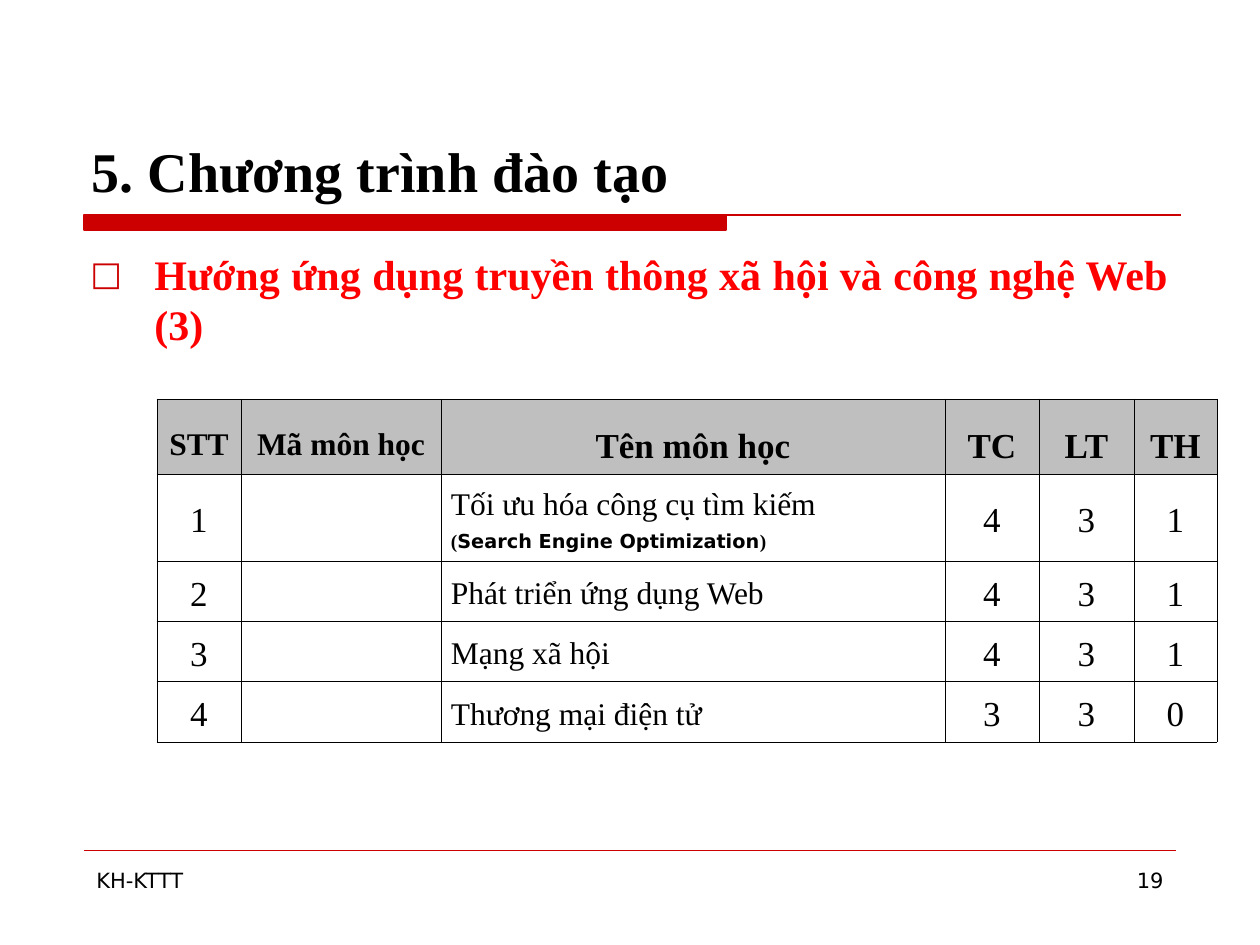
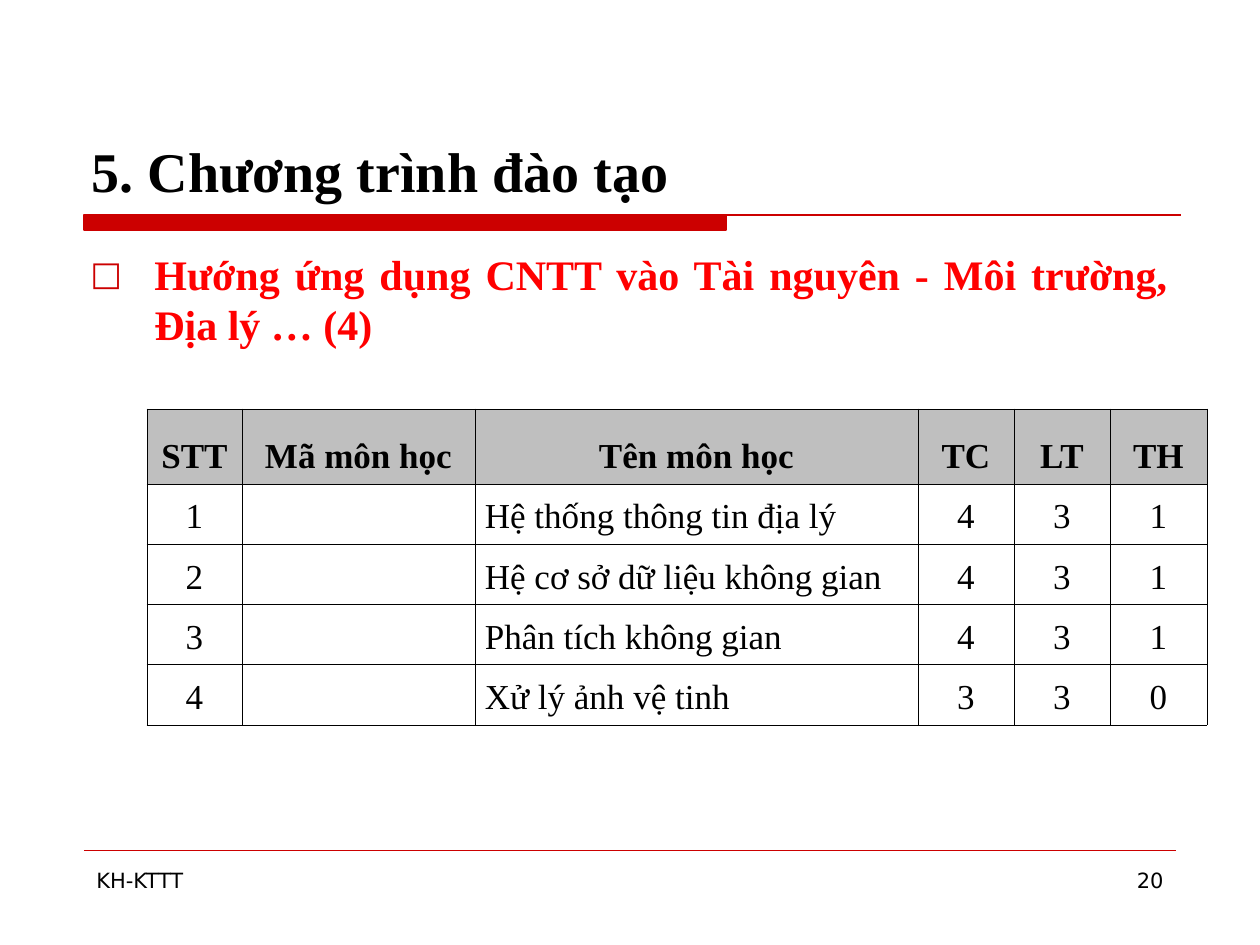
from dataclasses import dataclass

from pptx import Presentation
from pptx.dml.color import RGBColor
from pptx.enum.shapes import MSO_CONNECTOR
from pptx.enum.text import MSO_ANCHOR, MSO_AUTO_SIZE, PP_ALIGN
from pptx.oxml import parse_xml
from pptx.oxml.ns import nsdecls, qn
from pptx.util import Emu, Pt

EMU_PER_PX = 914400 / 126


@dataclass(frozen=True)
class Theme:
    accent: str = "CC0000"
    topic: str = "FF0000"
    text: str = "000000"
    paper: str = "FFFFFF"
    header: str = "BFBFBF"
    serif: str = "Times New Roman"
    sans: str = "DejaVu Sans"
    title_pt: int = 32
    topic_pt: int = 24
    cell_pt: int = 20
    small_cell_pt: int = 18
    gloss_pt: int = 11
    footer_pt: int = 12


T = Theme()

# Boxes are left, top, width, height in px
TITLE_BOX = (79, 42, 1102, 168)
RULE_BOX = (84, 215, 1097, 15)
TOPIC_BOX = (78, 242, 1102, 588)
FOOTER_BOX = (84, 850, 1092, 76)
BAND_WIDTH = 642
HEADER_HEIGHT, ROW_HEIGHT, GLOSS_ROW_HEIGHT = 71, 57, 83

HEADINGS = ("STT", "Mã môn học", "Tên môn học", "TC", "LT", "TH")
NAME_COLUMN = 2

# Each course: name, English gloss, TC, LT, TH
SLIDES = [
    dict(
        topic="Hướng ứng dụng truyền thông xã hội và công nghệ Web (3)",
        number=19,
        origin=(157, 399),
        widths=(84, 200, 504, 94, 95, 83),
        header_sizes=(T.small_cell_pt,) * 2 + (T.cell_pt,) * 4,
        name_size=T.small_cell_pt,
        courses=[
            ("Tối ưu hóa công cụ tìm kiếm", "Search Engine Optimization", 4, 3, 1),
            ("Phát triển ứng dụng Web", "", 4, 3, 1),
            ("Mạng xã hội", "", 4, 3, 1),
            ("Thương mại điện tử", "", 3, 3, 0),
        ],
    ),
    dict(
        topic="Hướng ứng dụng CNTT vào Tài nguyên - Môi trường, Địa lý … (4)",
        number=20,
        origin=(147, 409),
        widths=(95, 233, 443, 96, 96, 97),
        header_sizes=(T.cell_pt,) * 6,
        name_size=T.cell_pt,
        courses=[
            ("Hệ thống thông tin địa lý", "", 4, 3, 1),
            ("Hệ cơ sở dữ liệu không gian", "", 4, 3, 1),
            ("Phân tích không gian", "", 4, 3, 1),
            ("Xử lý ảnh vệ tinh", "", 3, 3, 0),
        ],
    ),
]


def px(n):
    return Emu(round(n * EMU_PER_PX))


def rgb(color):
    return RGBColor.from_string(color)


def style(r, size, font=T.serif, color=T.text, bold=False):
    r.font.size, r.font.name, r.font.bold = Pt(size), font, bold
    r.font.color.rgb = rgb(color)


def add_text(s, box, text, align, size, **look):
    sp = s.shapes.add_textbox(*map(px, box))
    sp.text_frame.word_wrap = True
    p = sp.text_frame.paragraphs[0]
    p.text, p.alignment = text, align
    style(p.runs[0], size, **look)
    return p


# Title placeholder and the band with its rule
def add_title(s, box):
    sp = s.shapes.title
    sp.left, sp.top, sp.width, sp.height = map(px, box)
    tf = sp.text_frame
    tf.text = "5. Chương trình đào tạo"
    tf.vertical_anchor, tf.auto_size = MSO_ANCHOR.BOTTOM, MSO_AUTO_SIZE.NONE
    p = tf.paragraphs[0]
    p.alignment = PP_ALIGN.LEFT
    style(p.runs[0], T.title_pt, bold=True)


def add_title_rule(s, box):
    x, y, w, h = box
    band_right = x + BAND_WIDTH
    outline = s.shapes.build_freeform(x, y, scale=EMU_PER_PX)
    outline.add_line_segments([(band_right, y), (band_right, y + h), (x, y + h)])
    outline.move_to(x, y)
    outline.add_line_segments([(x + w, y)], close=False)
    sp = outline.convert_to_shape()
    sp.shadow.inherit = False
    sp.fill.solid()
    sp.fill.fore_color.rgb = sp.line.color.rgb = rgb(T.accent)
    sp.line.width = Pt(0.75)


# Bulleted topic
def add_topic(s, box, text):
    p = add_text(s, box, text, PP_ALIGN.JUSTIFY, T.topic_pt, color=T.topic, bold=True)
    p.space_before = Pt(6)
    pPr = p._p.get_or_add_pPr()
    pPr.set("marL", str(px(64)))
    pPr.set("indent", str(-px(64)))
    for xml in (
        f'<a:buClr {nsdecls("a")}><a:srgbClr val="{T.accent}"/></a:buClr>',
        f'<a:buSzPct {nsdecls("a")} val="80000"/>',
        f'<a:buFont {nsdecls("a")} typeface="{T.sans}"/>',
        f'<a:buChar {nsdecls("a")} char="□"/>',
    ):
        pPr.append(parse_xml(xml))


# Course table
def format_cell(cell, fill):
    cell.vertical_anchor = MSO_ANCHOR.MIDDLE
    cell.margin_left = cell.margin_right = px(10)
    cell.margin_top = cell.margin_bottom = px(6)
    tcPr = cell._tc.get_or_add_tcPr()
    for side in ("lnL", "lnR", "lnT", "lnB"):
        tcPr.append(parse_xml(
            f'<a:{side} {nsdecls("a")} w="{Pt(0.45)}"><a:solidFill>'
            f'<a:srgbClr val="{T.text}"/></a:solidFill></a:{side}>'))
    cell.fill.solid()
    cell.fill.fore_color.rgb = rgb(fill)


def format_paragraph(p, align, header=False):
    p.alignment = align
    p.line_spacing, p.space_before = (1.5, Pt(6)) if header else (1.15, Pt(3))


def fill_cell(cell, text, size, align=PP_ALIGN.CENTER, header=False):
    format_cell(cell, T.header if header else T.paper)
    p = cell.text_frame.paragraphs[0]
    p.text = text
    format_paragraph(p, align, header)
    for r in p.runs:
        style(r, size, bold=header)


def add_gloss(cell, gloss):
    p = cell.text_frame.add_paragraph()
    format_paragraph(p, PP_ALIGN.LEFT)
    for text, font in (("(", T.serif), (gloss, T.sans), (")", T.serif)):
        r = p.add_run()
        r.text = text
        style(r, T.gloss_pt, font=font, bold=True)


def add_courses(s, origin, widths, header_sizes, name_size, courses):
    heights = [HEADER_HEIGHT] + [GLOSS_ROW_HEIGHT if c[1] else ROW_HEIGHT for c in courses]
    box = (*origin, sum(widths), sum(heights))
    table = s.shapes.add_table(len(heights), len(widths), *map(px, box)).table
    table.first_row = table.horz_banding = False
    for column, w in zip(table.columns, widths):
        column.width = px(w)
    for row, h in zip(table.rows, heights):
        row.height = px(h)
    for col, (heading, size) in enumerate(zip(HEADINGS, header_sizes)):
        fill_cell(table.cell(0, col), heading, size, header=True)
    for row, (name, gloss, *credits) in enumerate(courses, 1):
        for col, value in enumerate((row, "", name, *credits)):
            cell = table.cell(row, col)
            if col == NAME_COLUMN:
                fill_cell(cell, name, name_size, PP_ALIGN.LEFT)
            else:
                fill_cell(cell, str(value), T.cell_pt)
        if gloss:
            add_gloss(table.cell(row, NAME_COLUMN), gloss)


# Footer line, department and page number
def add_footer(s, box, number):
    x, y, w, h = box
    line = s.shapes.add_connector(MSO_CONNECTOR.STRAIGHT, px(x), px(y), px(x + w), px(y))
    line.line.color.rgb, line.line.width = rgb(T.accent), Pt(0.25)
    spPr = line._element.find(qn("p:spPr"))
    spPr.append(parse_xml(f'<a:effectLst {nsdecls("a")}/>'))
    text_w, gap = 273, 11
    for left, text, align in (
        (x, "KH-KTTT", PP_ALIGN.LEFT),
        (x + w - text_w, str(number), PP_ALIGN.RIGHT),
    ):
        add_text(s, (left, y + gap, text_w, h - gap), text, align, T.footer_pt, font=T.sans)


def add_program_slide(prs, topic, number, **courses):
    s = prs.slides.add_slide(prs.slide_layouts.get_by_name("Title Only"))
    add_title_rule(s, RULE_BOX)
    add_title(s, TITLE_BOX)
    add_topic(s, TOPIC_BOX, topic)
    add_courses(s, **courses)
    add_footer(s, FOOTER_BOX, number)


def main():
    prs = Presentation()
    prs.slide_width, prs.slide_height = px(1260), px(945)
    for slide in SLIDES:
        add_program_slide(prs, **slide)
    prs.save("out.pptx")


if __name__ == "__main__":
    main()
